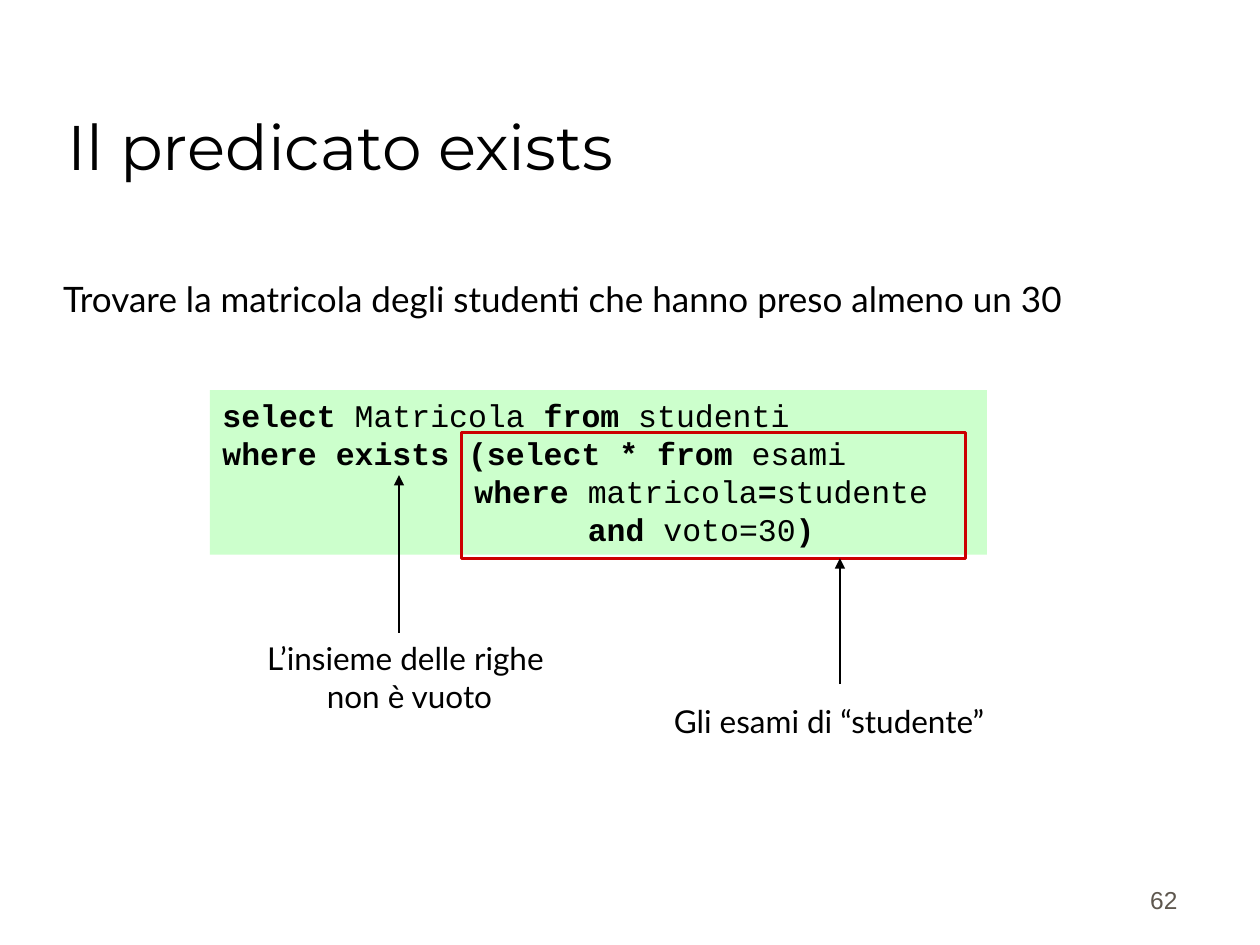
from lxml import etree
from pptx import Presentation
from pptx.dml.color import RGBColor
from pptx.enum.shapes import MSO_CONNECTOR, MSO_SHAPE
from pptx.enum.text import MSO_ANCHOR, MSO_AUTO_SIZE, PP_ALIGN
from pptx.oxml.ns import qn
from pptx.util import Pt

BLACK = RGBColor(0x00, 0x00, 0x00)
RED = RGBColor(0xCC, 0x00, 0x00)
PALE_GREEN = RGBColor(0xCC, 0xFF, 0xCC)
GREY = RGBColor(0x5E, 0x57, 0x4E)
LEFT, CENTER, RIGHT = PP_ALIGN.LEFT, PP_ALIGN.CENTER, PP_ALIGN.RIGHT
TOP, BOTTOM = MSO_ANCHOR.TOP, MSO_ANCHOR.BOTTOM
NO_AUTOFIT = MSO_AUTO_SIZE.NONE
RECTANGLE = MSO_SHAPE.RECTANGLE
STRAIGHT = MSO_CONNECTOR.STRAIGHT


def format_text(frame, font_name, size, color=BLACK, align=LEFT, anchor=TOP):
    frame.word_wrap = True
    frame.auto_size = NO_AUTOFIT
    frame.vertical_anchor = anchor
    paragraph = frame.paragraphs[0]
    paragraph.alignment = align
    paragraph.font.name = font_name
    paragraph.font.size = Pt(size)
    paragraph.font.color.rgb = color


prs = Presentation()
prs.slide_width, prs.slide_height = Pt(720), Pt(540)
slide = prs.slides.add_slide(prs.slide_layouts[5])
shapes = slide.shapes

title = shapes.title
title.left, title.top, title.width, title.height = Pt(31.5), Pt(18), Pt(658), Pt(90)
title.text_frame.text = "Il predicato exists"
format_text(title.text_frame, "Montserrat", 36, anchor=BOTTOM)

# SQL query
query = shapes.add_shape(RECTANGLE, Pt(120), Pt(223), Pt(444), Pt(94))
query.shadow.inherit = False
query.fill.solid()
query.fill.fore_color.rgb = PALE_GREEN
query.line.fill.background()
code = query.text_frame.paragraphs[0]
tab_stops = etree.SubElement(code._p.get_or_add_pPr(), qn("a:tabLst"))
for inch in range(1, 8):
    etree.SubElement(tab_stops, qn("a:tab"), pos=str(Pt(72 * inch)), algn="l")
format_text(query.text_frame, "Courier New", 18)

# Each line alternates bold and regular pieces, starting with bold
query_lines = [
    ["select ", "Matricola", " from ", "studenti"],
    ["where exists (select * from ", "esami"],
    ["\t\twhere ", "matricola", "=", "studente"],
    ["\t\t      and ", "voto=30", ")"],
]
for number, pieces in enumerate(query_lines):
    if number:
        code.add_line_break()
    for position, piece in enumerate(pieces):
        run = code.add_run()
        run.text = piece
        run.font.bold = position % 2 == 0

subquery_frame = shapes.add_shape(RECTANGLE, Pt(264), Pt(247), Pt(288), Pt(72))
subquery_frame.shadow.inherit = False
subquery_frame.fill.background()
subquery_frame.line.color.rgb = RED
subquery_frame.line.width = Pt(1.75)

# Task, explanations and page number
labels = [
    ("Trovare la matricola degli studenti che hanno preso almeno un 30",
     (29, 155, 634, 32), ("Lato", 20)),
    ("Gli esami di “studente”", (378, 397.5, 252, 29), ("Lato", 18)),
    ("L’insieme delle righe \vnon è vuoto",
     (102, 361.5, 264, 50.5), ("Lato", 18, BLACK, CENTER)),
    ("62", (530, 490, 150, 36), ("Arial", 14, GREY, RIGHT, BOTTOM)),
]
for text, box, style in labels:
    label = shapes.add_textbox(*map(Pt, box))
    label.text_frame.text = text
    format_text(label.text_frame, *style)

# Arrows from the explanations up to the query
for x, start_y, end_y in [(480, 391, 319), (228, 361.5, 271.5)]:
    arrow = shapes.add_connector(STRAIGHT, Pt(x), Pt(start_y), Pt(x), Pt(end_y))
    arrow.line.color.rgb = BLACK
    arrow.line.width = Pt(1)
    etree.SubElement(arrow.line._get_or_add_ln(), qn("a:tailEnd"), type="triangle")
    etree.SubElement(arrow._element.spPr, qn("a:effectLst"))

prs.save("out.pptx")
